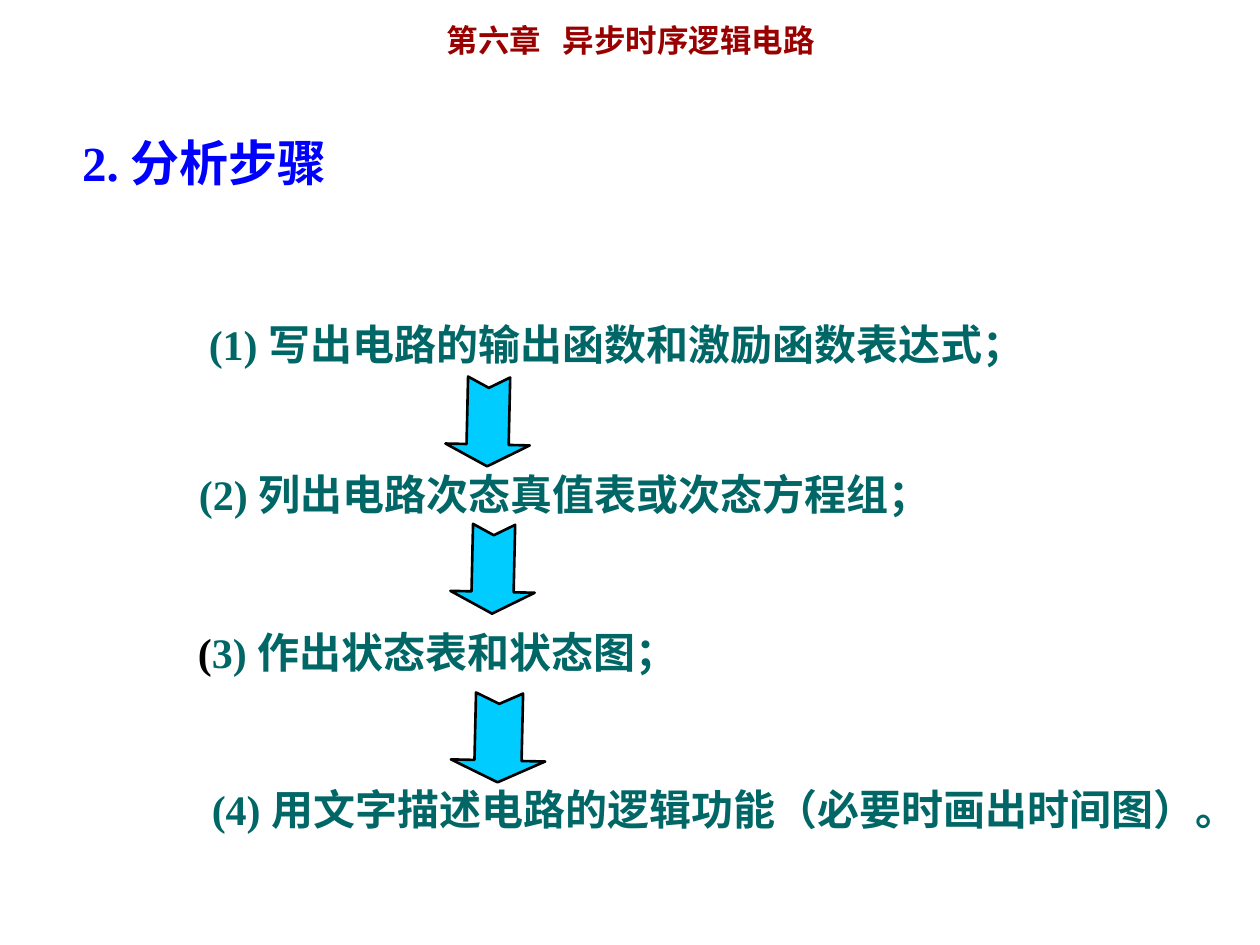
from dataclasses import dataclass
from lxml.etree import SubElement
from pptx import Presentation
from pptx.dml.color import RGBColor
from pptx.enum.shapes import MSO_SHAPE
from pptx.enum.text import MSO_ANCHOR, MSO_AUTO_SIZE, PP_ALIGN
from pptx.oxml.ns import qn
from pptx.util import Cm, Pt


@dataclass(frozen=True)
class Theme:
    red: str = "990000"
    blue: str = "0000FF"
    green: str = "006666"
    black: str = "000000"
    cyan: str = "00CCFF"
    latin: str = "Times New Roman"
    asian: str = "Noto Sans CJK JP"
    head: int = 18
    title: int = 28
    body: int = 24


THEME = Theme()
STEPS = [
    ((3.96, 6.3, 19.25), [("(1) 写出电路的输出函数和激励函数表达式；", THEME.green)], 0, PP_ALIGN.LEFT),
    ((3.76, 9.32, 19.25), [("(2) 列出电路次态真值表或次态方程组；", THEME.green)], 0, PP_ALIGN.LEFT),
    ((2.26, 12.5, 13.13), [("(", THEME.black), ("3) 作出状态表和状态图；", THEME.green)], 0, PP_ALIGN.CENTER),
    ((2.97, 15.67, 22.23), [("(4) 用文字描述电路的逻辑功能（必要时画出时间图）。", THEME.green)], 1.05, PP_ALIGN.LEFT),
]
ARROWS = [(9.84, 8.5, 1.7), (9.94, 11.47, 1.7), (10.05, 14.87, 1.9)]


def apply(item, values):
    for name, value in values.items():
        setattr(item, name, value)


def write(shape, runs, size, latin=THEME.latin, align=PP_ALIGN.LEFT, indent=0):
    frame = shape.text_frame
    apply(frame, {
        "word_wrap": True,
        "auto_size": MSO_AUTO_SIZE.NONE,
        "vertical_anchor": MSO_ANCHOR.TOP,
    })
    para = frame.paragraphs[0]
    para.alignment = align
    if indent:
        para._p.get_or_add_pPr().set("indent", str(Cm(indent)))
    for text, color in runs:
        run = para.add_run()
        run.text = text
        apply(run.font, {"name": latin, "size": Pt(size), "bold": True})
        run.font.color.rgb = RGBColor.from_string(color)
        SubElement(run._r.get_or_add_rPr(), qn("a:ea"), typeface=THEME.asian)


def add_title(slide):
    title = slide.shapes.title
    apply(title, {"left": Cm(1.4), "top": Cm(2.54), "width": Cm(20.12), "height": Cm(1.45)})
    write(title, [("2. 分析步骤", THEME.blue)], THEME.title)


def add_head(slide):
    box = slide.shapes.add_textbox(Cm(8.76), Cm(0.3), Cm(9.35), Cm(1.02))
    write(box, [("第六章   异步时序逻辑电路", THEME.red)], THEME.head, THEME.asian)


def add_step(slide, place, runs, indent, align):
    left, top, width = place
    box = slide.shapes.add_textbox(Cm(left), Cm(top), Cm(width), Cm(1.27))
    write(box, runs, THEME.body, align=align, indent=indent)


def add_arrow(slide, x, y, breadth, length=1.8, tip=0.44):
    arrow = slide.shapes.add_shape(
        MSO_SHAPE.NOTCHED_RIGHT_ARROW,
        Cm(x - length / 2), Cm(y - breadth / 2), Cm(length), Cm(breadth))
    arrow.rotation = 91.3
    arrow.adjustments[0] = 0.5
    arrow.adjustments[1] = tip / min(length, breadth)
    arrow.shadow.inherit = False
    arrow.fill.solid()
    arrow.fill.fore_color.rgb = RGBColor.from_string(THEME.cyan)
    arrow.line.color.rgb = RGBColor.from_string(THEME.black)
    arrow.line.width = Pt(1.5)


def main():
    deck = Presentation()
    apply(deck, {"slide_width": Cm(25.4), "slide_height": Cm(19.05)})
    slide = deck.slides.add_slide(deck.slide_layouts[5])
    add_head(slide)
    add_title(slide)
    for step in STEPS:
        add_step(slide, *step)
    for arrow in ARROWS:
        add_arrow(slide, *arrow)
    deck.save("out.pptx")


if __name__ == "__main__":
    main()
